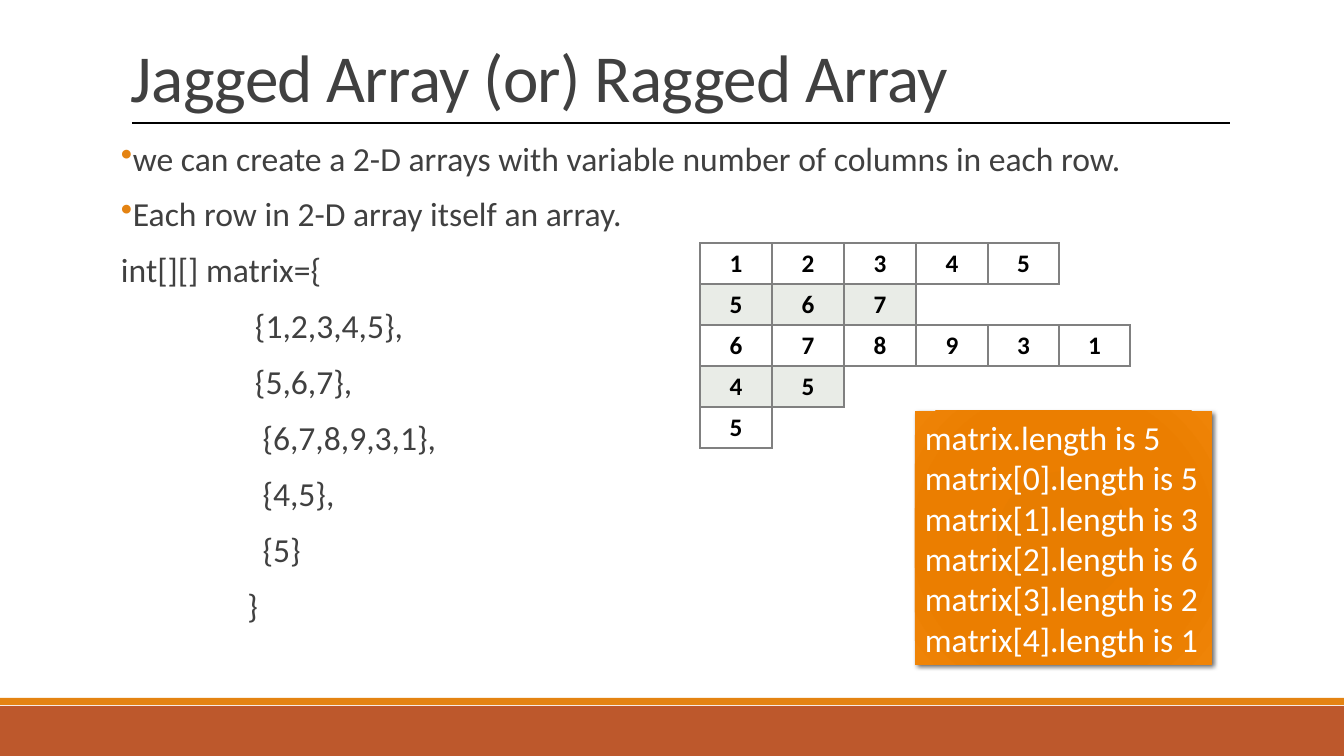
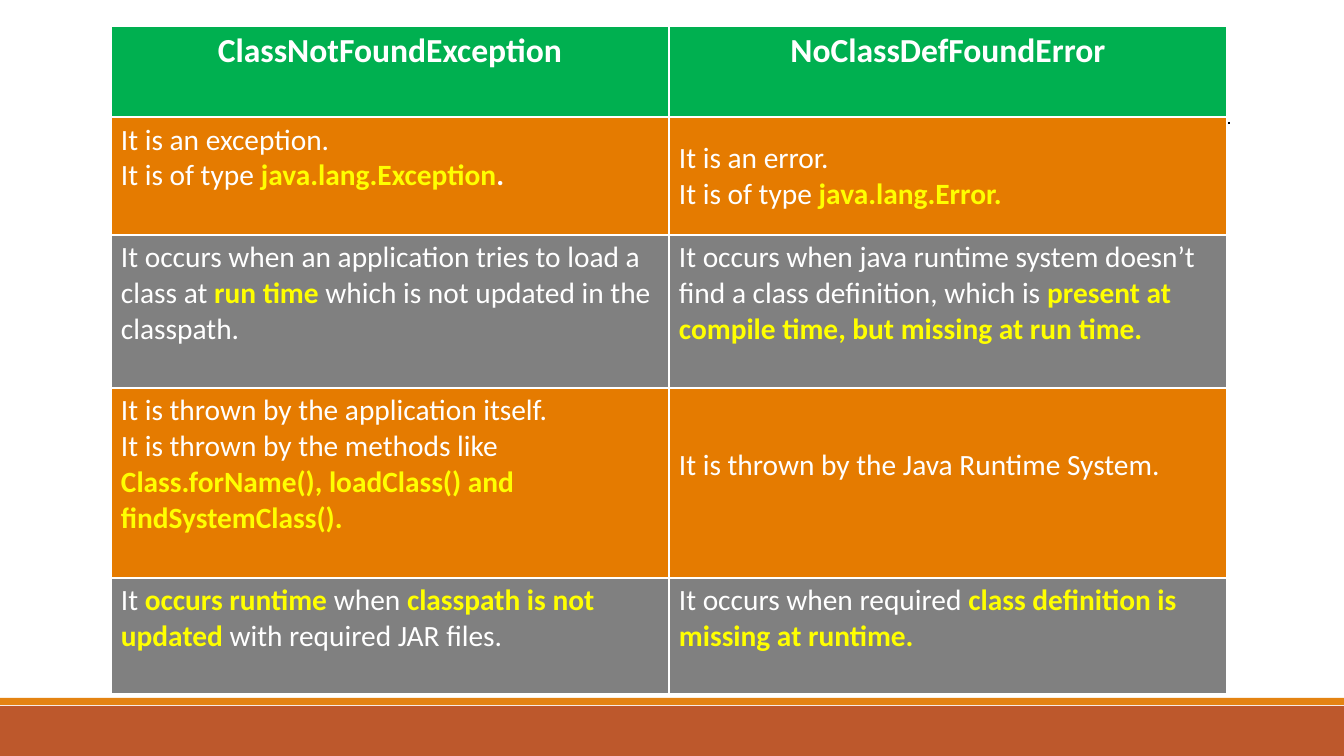
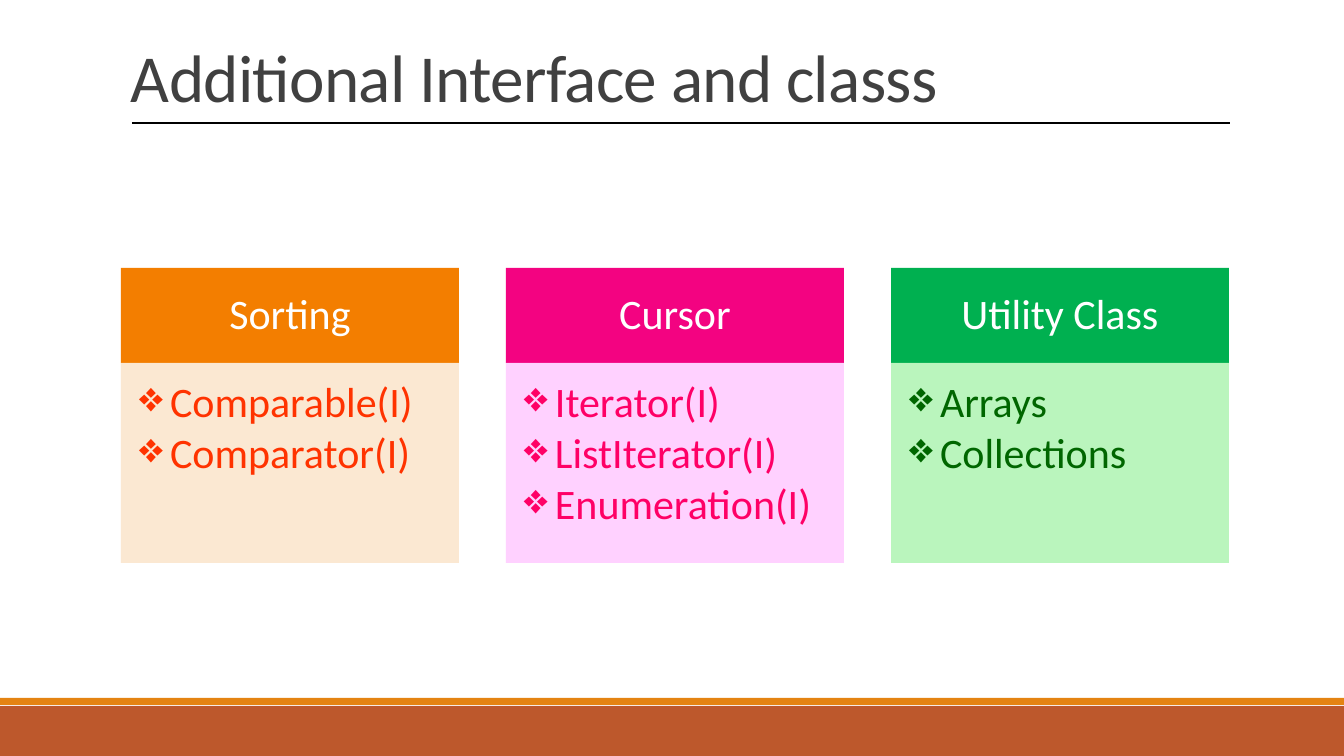
from lxml import etree
from pptx import Presentation
from pptx.dml.color import RGBColor
from pptx.enum.shapes import MSO_CONNECTOR as CONN, MSO_SHAPE as SHAPE
from pptx.enum.text import MSO_ANCHOR as ANCHOR, PP_ALIGN as ALIGN
from pptx.oxml import parse_xml
from pptx.oxml.ns import nsdecls, qn
from pptx.util import Pt

SCALE = 914400 / 100.8
WHITE, YELLOW, INK = "FFFFFF", "FFFF00", "404040"
ORANGE, GREY, GREEN, RULE = "E57B00", "808080", "00B050", "000000"
RUST, AMBER, SAGE = "BD582C", "E48312", "94A088"


def px(n):
    return round(n * SCALE)


def rgb(value):
    return RGBColor.from_string(value)


def xml(tag, body="", **attrs):
    pairs = " ".join(f'{k}="{v}"' for k, v in attrs.items())
    return parse_xml(f'<a:{tag} {nsdecls("a")} {pairs}>{body}</a:{tag}>')


def srgb(value, alpha=100):
    return f'<a:srgbClr val="{value}"><a:alpha val="{alpha * 1000}"/></a:srgbClr>'


class Deck:
    """Shared style and the slide being drawn."""

    font = "Calibri"

    def __init__(self):
        self.prs = Presentation()
        self.prs.slide_width, self.prs.slide_height = px(1344), px(756)
        self.s = None

    def slide(self, title=None):
        self.s = self.prs.slides.add_slide(self.prs.slide_layouts[6])
        self.rect(0, 706, 1344, 50, RUST)
        self.rect(0, 698, 1344, 7, AMBER)
        self.line(132, 123, 1230, 123)
        if title:
            tf = self.textbox(121, 25, 1109, 96)
            tf.vertical_anchor = ANCHOR.BOTTOM
            self.put_text(tf, [title], 48, INK, spacing=0.85)
            tf.paragraphs[0].runs[0].font._element.set("spc", "-50")

    def paint(self, fill, color, alpha=100):
        fill.solid()
        fill.fore_color.rgb = rgb(color)
        if alpha < 100:
            clr = fill._xPr.find(qn("a:solidFill"))[0]
            etree.SubElement(clr, qn("a:alpha"), val=str(alpha * 1000))

    def rect(self, x, y, w, h, color, alpha=100):
        sp = self.s.shapes.add_shape(SHAPE.RECTANGLE, px(x), px(y), px(w), px(h))
        sp.shadow.inherit = False
        sp.line.fill.background()
        self.paint(sp.fill, color, alpha)
        return sp

    def line(self, x1, y1, x2, y2):
        ln = self.s.shapes.add_connector(CONN.STRAIGHT, px(x1), px(y1), px(x2), px(y2))
        ln.line.color.rgb = rgb(RULE)
        ln.line.width = Pt(1)
        ln._element.spPr.append(xml("effectLst"))

    def textbox(self, x, y, w, h):
        tf = self.s.shapes.add_textbox(px(x), px(y), px(w), px(h)).text_frame
        tf.word_wrap = True
        return tf

    def insets(self, box, left, top, right, bottom):
        box.margin_left, box.margin_top = px(left), px(top)
        box.margin_right, box.margin_bottom = px(right), px(bottom)

    def put_text(self, tf, lines, size, color, align=ALIGN.LEFT, spacing=1, bold=False,
                 before=0, after=0):
        tf.text = "\n".join(lines)
        for i, p in enumerate(tf.paragraphs):
            p.alignment = align
            p.line_spacing = spacing
            p.space_before = Pt(before if i else 0)
            p.space_after = Pt(after)
            for r in p.runs:
                self.style(r, size, color, bold)

    def style(self, r, size, color, bold=False):
        r.font.name, r.font.size, r.font.bold = self.font, Pt(size), bold
        r.font.color.rgb = rgb(color)

    def bullet(self, p, char, indent, color=None):
        pPr = p._p.get_or_add_pPr()
        pPr.set("marL", str(px(indent)))
        pPr.set("indent", str(-px(indent)))
        if color:
            pPr.append(xml("buClr", srgb(color)))
        pPr.append(xml("buChar", char=char))

    def glow_box(self, x, y, w, h, stops, lines):
        sp = self.rect(x, y, w, h, stops[0][1])
        spPr = sp._element.spPr
        gs = "".join(f'<a:gs pos="{at * 1000}">{srgb(c)}</a:gs>' for at, c in stops)
        circle = '<a:path path="circle"><a:fillToRect l="100000" t="100000" r="100000" b="100000"/></a:path>'
        solid = spPr.find(qn("a:solidFill"))
        spPr.replace(solid, xml("gradFill", f"<a:gsLst>{gs}</a:gsLst>{circle}", rotWithShape=1))
        spPr.find(qn("a:effectLst")).append(
            xml("outerShdw", srgb(RULE, 60), blurRad=Pt(3.5), dist=Pt(2), dir=2700000))
        self.put_text(sp.text_frame, lines, 24, WHITE)

    def table(self, x, y, widths, heights):
        frame = self.s.shapes.add_table(len(heights), len(widths), px(x), px(y),
                                        px(sum(widths)), px(sum(heights)))
        tbl = frame.table
        tbl.first_row = tbl.horz_banding = False
        for col, w in zip(tbl.columns, widths):
            col.width = px(w)
        for row, h in zip(tbl.rows, heights):
            row.height = px(h)
        return tbl

    def borders(self, cell, color, width, sides="LRTB"):
        tcPr = cell._tc.get_or_add_tcPr()
        for i, side in enumerate("LRTB"):
            fill = f"<a:solidFill>{srgb(color)}</a:solidFill>" if side in sides else "<a:noFill/>"
            tcPr.insert(i, xml(f"ln{side}", fill, w=Pt(width)))

    def jagged_table(self, x, y, widths, height, matrix):
        tbl = self.table(x, y, widths, [height] * len(matrix))
        filled = {(i, j) for i, row in enumerate(matrix) for j in range(len(row))}
        steps = {"L": (0, -1), "R": (0, 1), "T": (-1, 0), "B": (1, 0)}
        for i, row in enumerate(matrix):
            for j in range(len(widths)):
                cell = tbl.cell(i, j)
                cell.fill.background()
                if (i, j) in filled:
                    self.put_text(cell.text_frame, [str(row[j])], 18, RULE, ALIGN.CENTER,
                                  bold=True)
                    if i % 2:
                        self.paint(cell.fill, SAGE, 20)
                sides = [k for k, (di, dj) in steps.items()
                         if {(i, j), (i + di, j + dj)} & filled]
                self.borders(cell, GREY, 1.5, sides)

    def rich_cell(self, cell, paragraphs, color):
        tf = cell.text_frame
        for i, runs in enumerate(paragraphs):
            p = tf.add_paragraph() if i else tf.paragraphs[0]
            for text in runs:
                r = p.add_run()
                r.text = text.lstrip("*!")
                self.style(r, 21, YELLOW if text[0] == "*" else WHITE, text[0] in "*!")
        self.paint(cell.fill, color)

    def comparison(self, x, y, widths, heights, heads, rows):
        tbl = self.table(x, y, widths, heights)
        for j, head in enumerate(heads):
            self.put_text(tbl.cell(0, j).text_frame, [head], 24, WHITE, ALIGN.CENTER, bold=True)
            self.paint(tbl.cell(0, j).fill, GREEN)
        for i, row in enumerate(rows, 1):
            for j, paragraphs in enumerate(row):
                self.rich_cell(tbl.cell(i, j), paragraphs, ORANGE if i % 2 else GREY)
        for cell in tbl.iter_cells():
            self.insets(cell, 10, 5, 10, 5)
            self.borders(cell, WHITE, 2.25)
        return tbl

    def card(self, x, head, items, color, tint, ink):
        top = self.rect(x, 268, 338, 95, color)
        top.text_frame.vertical_anchor = ANCHOR.MIDDLE
        self.insets(top.text_frame, 23, 13, 23, 13)
        self.put_text(top.text_frame, [head], 30, WHITE, ALIGN.CENTER, 0.9)
        tf = self.rect(x, 363, 338, 200, tint, 90).text_frame
        tf.vertical_anchor = ANCHOR.TOP
        self.insets(tf, 18, 18, 23, 26)
        self.put_text(tf, items, 30, ink, spacing=0.9, after=4)
        for p in tf.paragraphs:
            self.bullet(p, "❖", 31)


def jagged_slide(d):
    d.slide("Jagged Array (or) Ragged Array")
    tf = d.textbox(121, 137, 1109, 547)
    d.insets(tf, 0, 5, 0, 5)
    d.put_text(tf, [
        "we can create a 2-D arrays with variable number of columns in each row.",
        "Each row in 2-D array itself an array.",
        "int[][] matrix={",
        "\t           {1,2,3,4,5},",
        "\t           {5,6,7},",
        "\t            {6,7,8,9,3,1},",
        "\t            {4,5},",
        "\t            {5}",
        "\t          }",
    ], 24, INK, ALIGN.JUSTIFY, 0.9, before=12, after=2)
    for p in tf.paragraphs[:2]:
        d.bullet(p, "•", 10, AMBER)
    matrix = [[1, 2, 3, 4, 5], [5, 6, 7], [6, 7, 8, 9, 3, 1], [4, 5], [5]]
    d.jagged_table(700, 243, [72, 72, 72, 72, 71, 71], 41, matrix)
    sizes = [f"matrix[{i}].length is {len(row)}" for i, row in enumerate(matrix)]
    stops = [(0, ORANGE), (34, "E87D00"), (70, "EB7E00"), (100, "EF8407")]
    d.glow_box(915, 411, 297, 254, stops, [f"matrix.length is {len(matrix)}"] + sizes)


def exception_slide(d):
    d.slide()
    rows = [
        ([["It is an exception."], ["It is of type ", "*java.lang.Exception", "!."]],
         [["It is an error."], ["It is of type ", "*java.lang.Error."]]),
        ([["It occurs when an application tries to load a class at ", "*run time ",
           "which is not updated in the classpath."]],
         [["It occurs when java runtime system doesn’t find a class definition, which is ",
           "*present at compile time, but missing at run time."]]),
        ([["It is thrown by the application itself."],
          ["It is thrown by the methods like ",
           "*Class.forName(), loadClass() and findSystemClass()."]],
         [["It is thrown by the Java Runtime System."]]),
        ([["It ", "*occurs runtime ", "when ", "*classpath is not updated",
           " with required JAR files."]],
         [["It occurs when required ", "*class definition is missing at runtime."]]),
    ]
    tbl = d.comparison(111, 26, [558, 558], [91, 118, 153, 190, 116],
                       ["ClassNotFoundException", "NoClassDefFoundError"], rows)
    for i, bottom in ((1, 5), (3, 40)):
        cell = tbl.cell(i, 1)
        cell.vertical_anchor = ANCHOR.MIDDLE
        cell.margin_bottom = px(bottom)


def interface_slide(d):
    d.slide("Additional Interface and classs")
    cards = [
        ("Sorting", ["Comparable(I)", "Comparator(I)"], "F37E00", "FBE6CE", "FF3300"),
        ("Cursor", ["Iterator(I)", "ListIterator(I)", "Enumeration(I)"],
         "F30381", "FFCCFF", "FF0066"),
        ("Utility Class", ["Arrays", "Collections"], GREEN, "B3F5B6", "006600"),
    ]
    for i, card in enumerate(cards):
        d.card(121 + 385 * i, *card)


def main():
    d = Deck()
    jagged_slide(d)
    exception_slide(d)
    interface_slide(d)
    d.prs.save("out.pptx")


if __name__ == "__main__":
    main()
